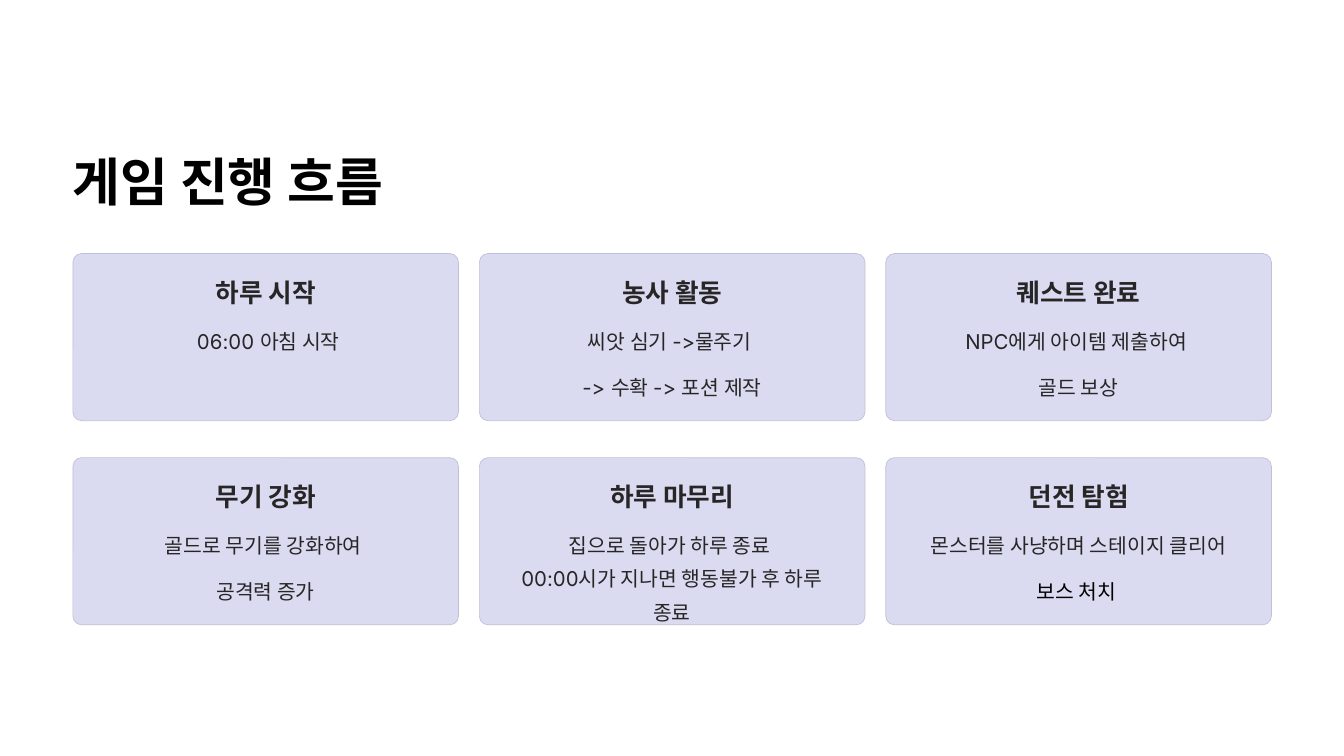
from pptx import Presentation
from pptx.dml.color import RGBColor
from pptx.enum import shapes, text
from pptx.util import Pt

COLORS = {"card": "DADBF1", "border": "C0C1D7", "title": "000000", "body": "272525"}
CARD_WIDTH, CARD_HEIGHT = 330.5, 143.3
LEFT, TOP = 62.5, 217.3
COLUMN_STEP, ROW_STEP = 348.4, 175
BLOCK_STEP = 39.2

STAGES = [
    ("하루 시작", [[" 06:00 아침 시작"]]),
    ("농사 활동", [["씨앗 심기 ->물주기 "], ["-> 수확 -> 포션 제작"]]),
    ("퀘스트 완료", [["NPC에게 아이템 제출하여 "], ["골드 보상"]]),
    ("무기 강화", [["골드로 무기를 강화하여 "], ["공격력 증가"]]),
    ("하루 마무리", [["집으로 돌아가 하루 종료 ", "00:00시가 지나면 행동불가 후 하루 종료"]]),
    ("던전 탐험", [["몬스터를 사냥하며 스테이지 클리어"], ["보스 처치 "]]),
]
BOSS_STYLE = {"보스 처치 ": {"font": "Calibri", "color": "title"}}


def add_text(slide, box, lines, size, spacing, color="body", font="Inter",
             bold=False, align=text.PP_ALIGN.CENTER):
    frame = slide.shapes.add_textbox(*map(Pt, box)).text_frame
    frame.word_wrap = False
    frame.margin_left = frame.margin_right = frame.margin_top = frame.margin_bottom = 0
    for index, line in enumerate(lines):
        paragraph = frame.add_paragraph() if index else frame.paragraphs[0]
        paragraph.alignment = align
        paragraph.line_spacing = Pt(spacing)
        run = paragraph.add_run()
        run.text = line
        run.font.name = font
        run.font.size = Pt(size)
        run.font.bold = bold
        run.font.color.rgb = RGBColor.from_string(COLORS[color])


def add_card(slide, left, top):
    card = slide.shapes.add_shape(shapes.MSO_SHAPE.ROUNDED_RECTANGLE, Pt(left), Pt(top),
                                  Pt(CARD_WIDTH), Pt(CARD_HEIGHT))
    card.adjustments[0] = 0.052
    card.shadow.inherit = False
    card.fill.solid()
    card.fill.fore_color.rgb = RGBColor.from_string(COLORS["card"])
    card.line.color.rgb = RGBColor.from_string(COLORS["border"])
    card.line.width = Pt(0.6)


def add_stage(slide, left, top, heading, blocks):
    add_card(slide, left, top)
    add_text(slide, (left + 53.6, top + 18.8, 223.2, 28), [heading], 22, 27.5, bold=True)
    for index, lines in enumerate(blocks):
        box = (left + 18.2, top + 57.2 + index * BLOCK_STEP, 293.8, 28.8)
        add_text(slide, box, lines, 17.5, 28.5, **BOSS_STYLE.get(lines[0], {}))


def main():
    """Build the game flow slide and save it."""
    deck = Presentation()
    deck.slide_width, deck.slide_height = Pt(1152), Pt(648)
    slide = deck.slides.add_slide(deck.slide_layouts[6])
    add_text(slide, (LEFT, 126, 446.4, 56.2), ["게임 진행 흐름"], 44.5, 55.5,
             color="title", bold=True, align=text.PP_ALIGN.LEFT)
    for index, (heading, blocks) in enumerate(STAGES):
        row, column = divmod(index, 3)
        add_stage(slide, LEFT + column * COLUMN_STEP, TOP + row * ROW_STEP, heading, blocks)
    deck.save("out.pptx")


if __name__ == "__main__":
    main()
